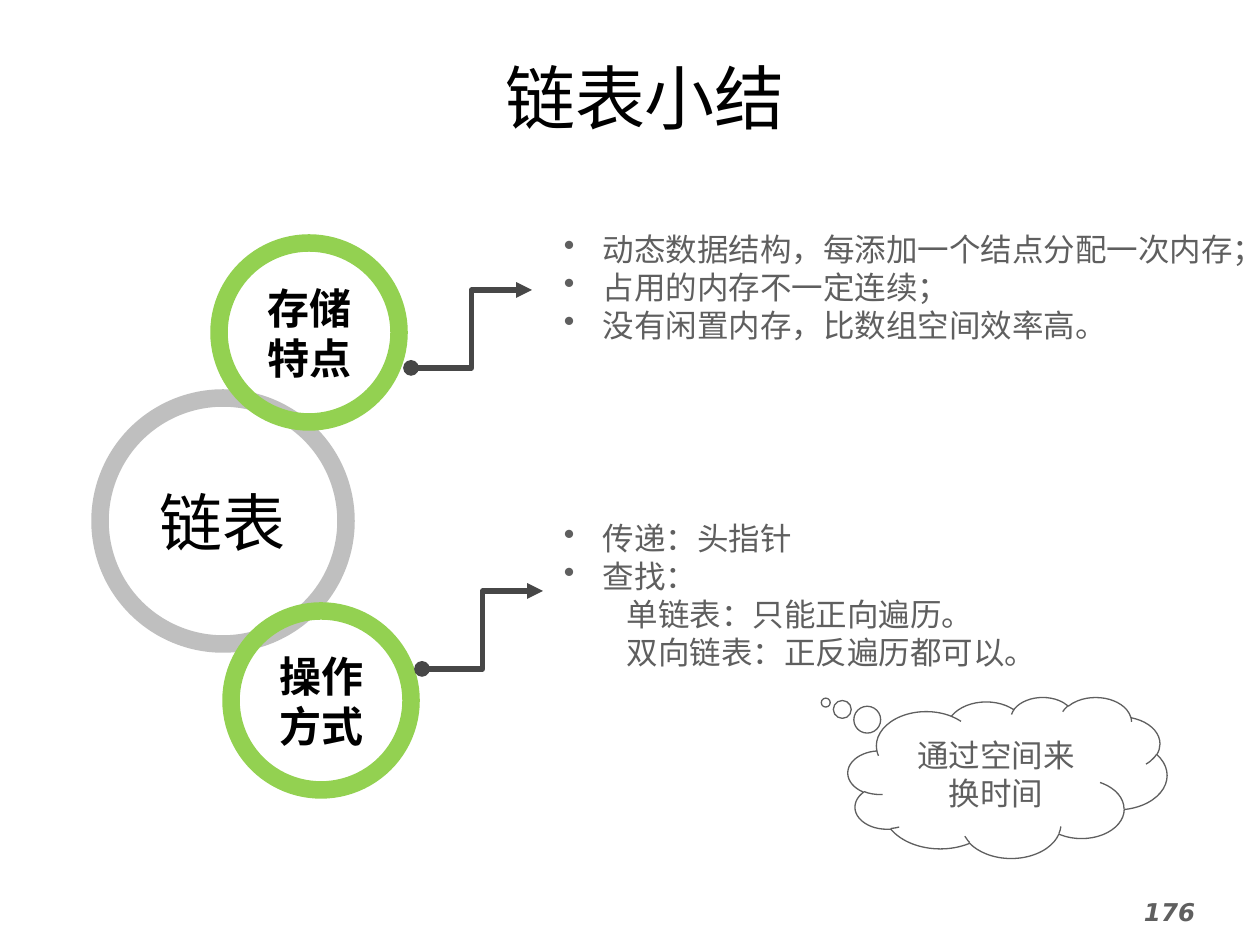
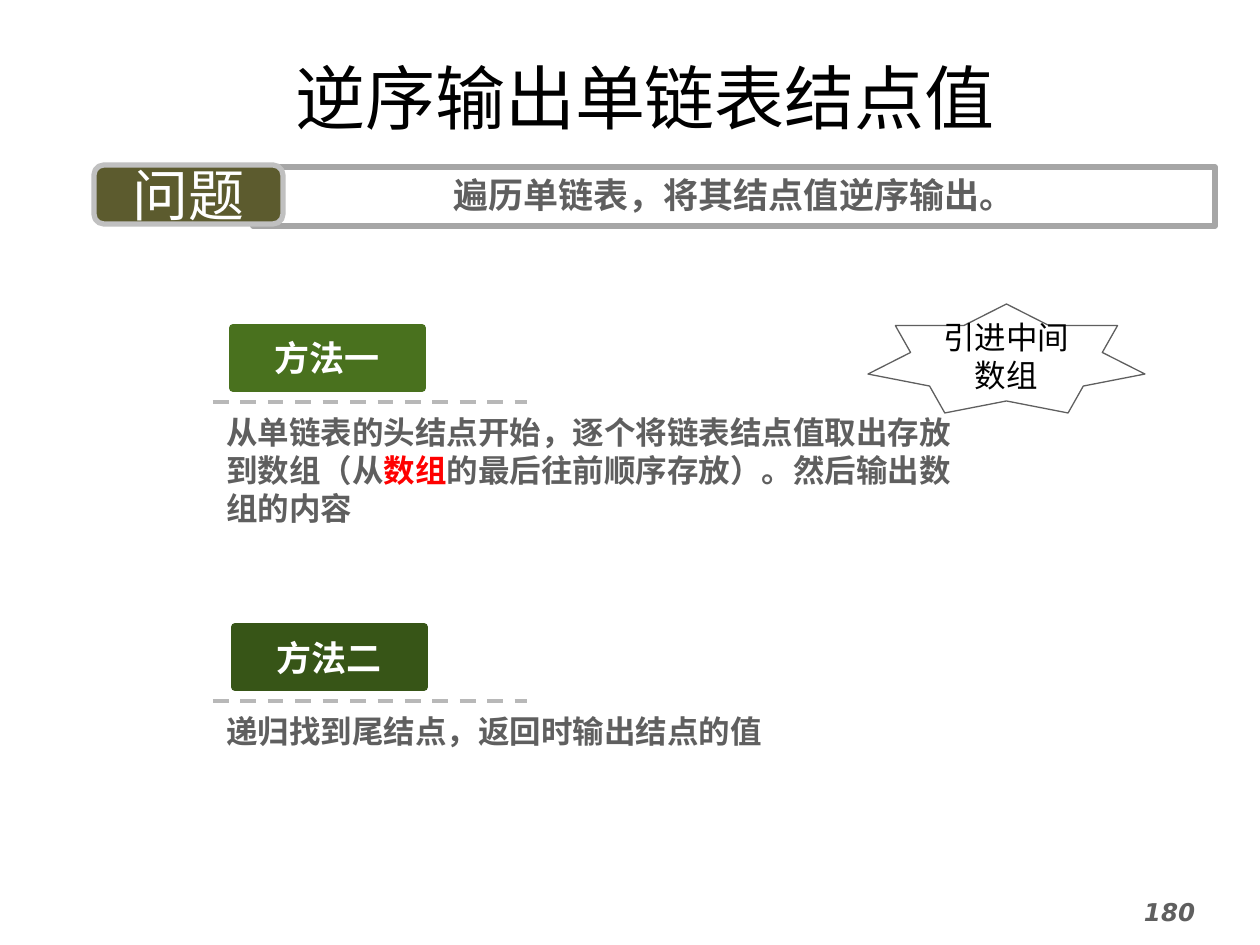
from dataclasses import dataclass

from pptx import Presentation
from pptx.dml.color import RGBColor
from pptx.enum.dml import MSO_LINE
from pptx.enum.shapes import MSO_CONNECTOR, MSO_SHAPE
from pptx.enum.text import MSO_ANCHOR, PP_ALIGN
from pptx.oxml.xmlchemy import OxmlElement
from pptx.util import Emu, Pt


@dataclass(frozen=True)
class Theme:
    heading_font: str = "Courier New"
    body_font: str = "Noto Sans CJK SC"
    number_font: str = "DejaVu Sans"
    black: str = "000000"
    white: str = "FFFFFF"
    grey: str = "5F5F5F"
    red: str = "FF0000"
    hub: str = "BFBFBF"
    ring: str = "93D151"
    arrow: str = "474747"
    frame: str = "A6A6A6"
    tag: str = "5C5B2E"
    tag_edge: str = "C0C0C0"
    rule: str = "B8B8B8"
    title_size: int = 40
    hub_size: int = 36
    tag_size: int = 32
    ring_size: int = 24
    label_size: int = 20
    body_size: int = 18
    number_size: int = 14
    leading: float = 1.2


THEME = Theme()
EMU_PER_PX = 914400 / 126
PADDING = (13, 6)

SUMMARY = {
    "title": "链表小结",
    "number": "176",
    "hub": "链表",
    "branches": [
        {
            "ring": (219, 243),
            "label": ["存储", "特点"],
            "arrow": (411, 368),
            "notes": (564, 204, 670, 166),
            "points": [
                ("动态数据结构，每添加一个结点分配一次内存；", 0),
                ("占用的内存不一定连续；", 0),
                ("没有闲置内存，比数组空间效率高。", 0),
            ],
        },
        {
            "ring": (231, 611),
            "label": ["操作", "方式"],
            "arrow": (422, 669),
            "notes": (564, 512, 527, 166),
            "points": [
                ("传递：头指针", 0),
                ("查找：", 0),
                ("单链表：只能正向遍历。", 1),
                ("双向链表：正反遍历都可以。", 1),
            ],
        },
    ],
    "thought": "通过空间来换时间",
}

REVERSE = {
    "title": "逆序输出单链表结点值",
    "number": "180",
    "tag": "问题",
    "problem": "遍历单链表，将其结点值逆序输出。",
    "methods": [
        ("方法一", "49711E", 233, [
            ("从单链表的头结点开始，逐个将链表结点值取出存放到数组（从", THEME.grey),
            ("数组", THEME.red),
            ("的最后往前顺序存放）。然后输出数组的内容", THEME.grey),
        ]),
        ("方法二", "375517", 235, [
            ("递归找到尾结点，返回时输出结点的值", THEME.grey),
        ]),
    ],
    "hint": "引进中间数组",
}

METHOD_TOP, METHOD_STEP = 328, 299
RULE_DROP, BODY_DROP = 74, 79


def px(*lengths):
    return [Emu(round(length * EMU_PER_PX)) for length in lengths]


def rgb(code):
    return RGBColor.from_string(code)


def write(owner, paragraphs, size, font=THEME.body_font, color=THEME.grey,
          bold=False, italic=False, align=PP_ALIGN.LEFT, anchor=MSO_ANCHOR.TOP,
          padding=PADDING, wrap=True):
    frame = owner.text_frame
    frame.word_wrap = wrap
    frame.vertical_anchor = anchor
    frame.margin_left, frame.margin_top = px(*padding)
    frame.margin_right, frame.margin_bottom = px(*padding)
    for index, runs in enumerate(paragraphs):
        paragraph = frame.add_paragraph() if index else frame.paragraphs[0]
        paragraph.alignment = align
        paragraph.line_spacing = Pt(size * THEME.leading)
        for words, run_color in [(runs, color)] if isinstance(runs, str) else runs:
            run = paragraph.add_run()
            run.text = words
            run.font.name = font
            run.font.size = Pt(size)
            run.font.bold = bold
            run.font.italic = italic
            run.font.color.rgb = rgb(run_color)
            east_asian = OxmlElement("a:ea")
            east_asian.set("typeface", THEME.body_font)
            run.font._element.append(east_asian)
    return frame


def add_text(slide, box, paragraphs, size, **style):
    return write(slide.shapes.add_textbox(*px(*box)), paragraphs, size, **style)


def add_label(slide, kind, box, paragraphs, size, edge, weight, fill=None,
              align=PP_ALIGN.CENTER, anchor=MSO_ANCHOR.MIDDLE, **style):
    label = slide.shapes.add_shape(kind, *px(*box))
    label.shadow.inherit = False
    if fill:
        label.fill.solid()
        label.fill.fore_color.rgb = rgb(fill)
    else:
        label.fill.background()
    label.line.color.rgb = rgb(edge)
    label.line.width = Pt(weight)
    write(label, paragraphs, size, align=align, anchor=anchor, **style)
    return label


def add_line(slide, kind, start, end, color, weight):
    connector = slide.shapes.add_connector(kind, *px(*start, *end))
    connector.line.color.rgb = rgb(color)
    connector.line.width = Pt(weight)
    connector._element.spPr.append(OxmlElement("a:effectLst"))
    return connector


def add_arrow(slide, start):
    x, y = start
    arrow = add_line(slide, MSO_CONNECTOR.ELBOW, start, (x + 121, y - 78), THEME.arrow, 3)
    for tag, kind in (("a:headEnd", "oval"), ("a:tailEnd", "triangle")):
        cap = OxmlElement(tag)
        cap.set("type", kind)
        arrow.line._get_or_add_ln().append(cap)


def add_points(slide, box, points):
    frame = add_text(slide, box, [words for words, _ in points], THEME.body_size,
                     anchor=MSO_ANCHOR.MIDDLE, padding=(0, 0))
    for paragraph, (_, level) in zip(frame.paragraphs, points):
        properties = paragraph._p.get_or_add_pPr()
        margin, indent = px(63, 0) if level else px(39, -39)
        properties.set("marL", str(margin))
        properties.set("indent", str(indent))
        paragraph.level = level
        if not level:
            bullet = OxmlElement("a:buChar")
            bullet.set("char", "•")
            properties.append(bullet)


def add_page(deck, content):
    slide = deck.slides.add_slide(deck.slide_layouts[6])
    add_text(slide, (44, 48, 1202, 97), [content["title"]], THEME.title_size,
             font=THEME.heading_font, color=THEME.black,
             align=PP_ALIGN.CENTER, anchor=MSO_ANCHOR.MIDDLE)
    add_text(slide, (1131, 891, 129, 54), [content["number"]], THEME.number_size,
             font=THEME.number_font, bold=True, italic=True)
    return slide


def add_ring(slide, box, words, size, edge, bold=False):
    add_label(slide, MSO_SHAPE.OVAL, box, words, size, edge, 10, bold=bold,
              font=THEME.heading_font, color=THEME.black, padding=(0, 0))


def build_summary(deck):
    slide = add_page(deck, SUMMARY)
    add_ring(slide, (100, 398, 246, 246), [SUMMARY["hub"]], THEME.hub_size, THEME.hub)
    for branch in SUMMARY["branches"]:
        add_ring(slide, (*branch["ring"], 180, 179), branch["label"],
                 THEME.ring_size, THEME.ring, bold=True)
        add_arrow(slide, branch["arrow"])
        add_points(slide, branch["notes"], branch["points"])
    thought = add_label(slide, MSO_SHAPE.CLOUD_CALLOUT, (848, 697, 319, 161),
                        [SUMMARY["thought"]], THEME.body_size, THEME.grey, 0.75,
                        fill=THEME.white)
    thought.adjustments[0] = -0.57
    thought.adjustments[1] = -0.465


def build_reverse(deck):
    slide = add_page(deck, REVERSE)
    add_label(slide, MSO_SHAPE.RECTANGLE, (253, 167, 962, 59), [REVERSE["problem"]],
              THEME.label_size, THEME.frame, 3.25, font=THEME.heading_font,
              bold=True, anchor=MSO_ANCHOR.TOP)
    add_label(slide, MSO_SHAPE.ROUNDED_RECTANGLE, (94, 165, 189, 59), [REVERSE["tag"]],
              THEME.tag_size, THEME.tag_edge, 3, fill=THEME.tag,
              color=THEME.white, wrap=False)
    for index, (name, shade, left, steps) in enumerate(REVERSE["methods"]):
        top = METHOD_TOP + index * METHOD_STEP
        rule_y = top + RULE_DROP
        rule = add_line(slide, MSO_CONNECTOR.STRAIGHT, (213, rule_y), (527, rule_y),
                        THEME.rule, 2.25)
        rule.line.dash_style = MSO_LINE.DASH
        add_label(slide, MSO_SHAPE.RECTANGLE, (left, top, 189, 60), [name],
                  THEME.label_size, shade, 4.5, fill=shade, color=THEME.white, bold=True)
        add_text(slide, (213, top + BODY_DROP, 765, 95), [steps],
                 THEME.body_size, bold=True)
    add_label(slide, MSO_SHAPE.STAR_7_POINT, (868, 304, 277, 109), [REVERSE["hint"]],
              THEME.body_size, THEME.grey, 0.75, fill=THEME.white, color=THEME.black)


def main():
    deck = Presentation()
    deck.slide_width, deck.slide_height = px(1260, 945)
    build_summary(deck)
    build_reverse(deck)
    deck.save("out.pptx")


if __name__ == "__main__":
    main()
